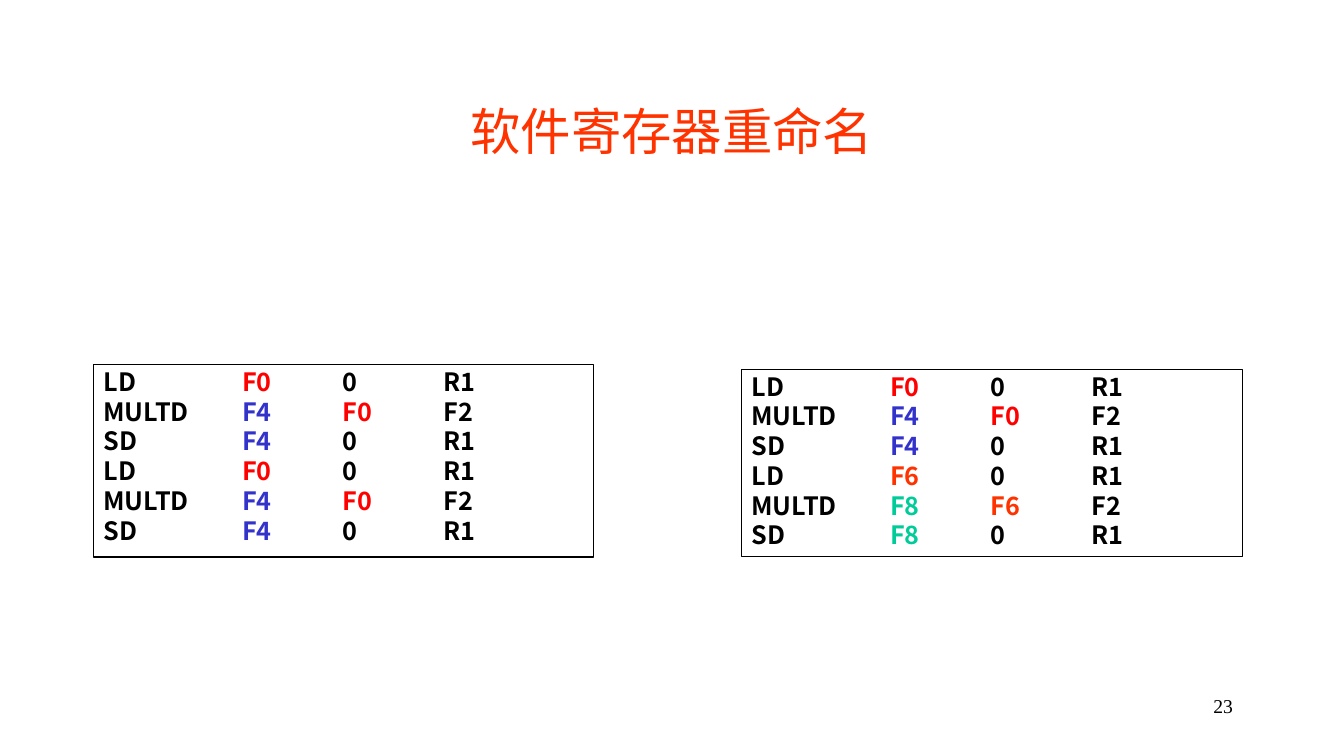
from pptx import Presentation
from pptx.dml.color import RGBColor
from pptx.enum.shapes import MSO_SHAPE
from pptx.enum.text import MSO_ANCHOR, PP_ALIGN
from pptx.util import Cm, Pt

RECT = MSO_SHAPE.RECTANGLE
TOP, MIDDLE = MSO_ANCHOR.TOP, MSO_ANCHOR.MIDDLE
LEFT, CENTER, RIGHT = PP_ALIGN.LEFT, PP_ALIGN.CENTER, PP_ALIGN.RIGHT

BLACK = RGBColor(0x00, 0x00, 0x00)
RED = RGBColor(0xFF, 0x00, 0x00)
BLUE = RGBColor(0x33, 0x33, 0xCC)
ORANGE = RGBColor(0xFF, 0x33, 0x00)
GREEN = RGBColor(0x00, 0xCC, 0x99)

SERIF = "Times New Roman"
SANS = "Noto Sans CJK SC"

TITLE = "软件寄存器重命名"
PAGE_NUMBER = "23"
REGISTER_COLORS = {"F0": RED, "F4": BLUE, "F6": ORANGE, "F8": GREEN}


def loop_body(load, product):
    return [
        ("LD\t", load, "0", "R1"),
        ("MULTD", product, load, "F2"),
        ("SD\t", product, "0", "R1"),
    ]


LISTINGS = [
    ((2.36, 9.19, 12.6, 4.85), loop_body("F0", "F4") * 2),
    ((18.69, 9.31, 12.62, 4.72), loop_body("F0", "F4") + loop_body("F6", "F8")),
]


def style(r, size, name, color, bold=False):
    r.font.size = Pt(size)
    r.font.name = name
    r.font.color.rgb = color
    r.font.bold = bold


def add_listing(slide, box, instructions):
    sp = slide.shapes.add_shape(RECT, *map(Cm, box))
    sp.shadow.inherit = False
    sp.fill.background()
    sp.line.color.rgb = BLACK
    sp.line.width = Pt(1)
    tf = sp.text_frame
    tf.word_wrap = True
    tf.vertical_anchor = TOP
    tf.margin_top = Cm(0.05)
    for i, fields in enumerate(instructions):
        p = tf.paragraphs[0] if i == 0 else tf.add_paragraph()
        p.alignment = LEFT
        p.line_spacing = Pt(21.25)
        pPr = p._p.get_or_add_pPr()
        pPr.set("marL", str(Cm(0.95)))
        pPr.set("indent", str(-Cm(0.95)))
        pPr.set("defTabSz", str(Cm(2.54)))
        for j, field in enumerate(fields):
            r = p.add_run()
            r.text = field if j == 0 else "\t" + field
            style(r, 18, SANS, REGISTER_COLORS.get(field, BLACK), True)


def main():
    prs = Presentation()
    prs.slide_width, prs.slide_height = Cm(33.87), Cm(19.05)
    slide = prs.slides.add_slide(prs.slide_layouts[5])

    title = slide.shapes.title
    title.left, title.top, title.width, title.height = map(Cm, (2.54, 1.7, 28.78, 3.18))
    tf = title.text_frame
    tf.text = TITLE
    tf.vertical_anchor = MIDDLE
    tf.paragraphs[0].alignment = CENTER
    style(tf.paragraphs[0].runs[0], 36, SERIF, ORANGE)

    for box, instructions in LISTINGS:
        add_listing(slide, box, instructions)

    number = slide.shapes.add_textbox(*map(Cm, (24.26, 17.35, 7.06, 1.27)))
    tf = number.text_frame
    tf.word_wrap = True
    tf.text = PAGE_NUMBER
    tf.paragraphs[0].alignment = RIGHT
    style(tf.paragraphs[0].runs[0], 14, SERIF, BLACK)

    prs.save("out.pptx")


if __name__ == "__main__":
    main()
